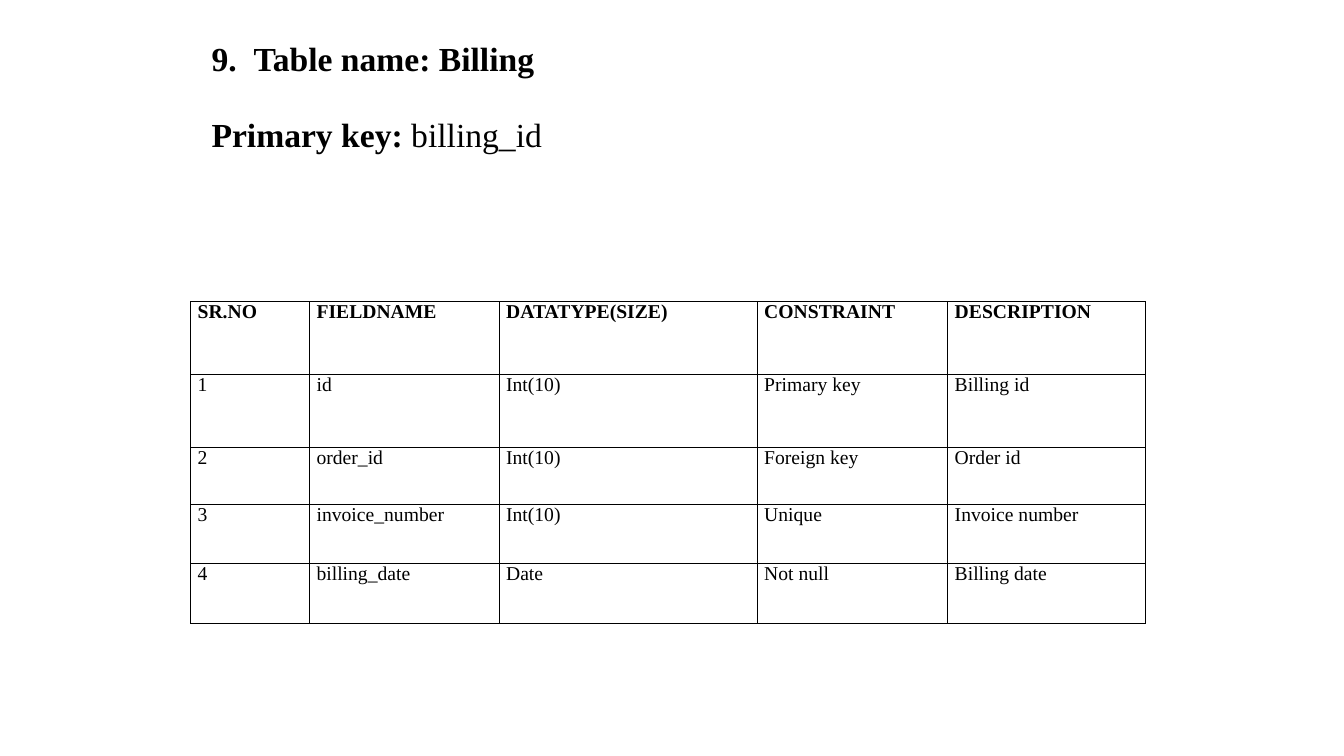
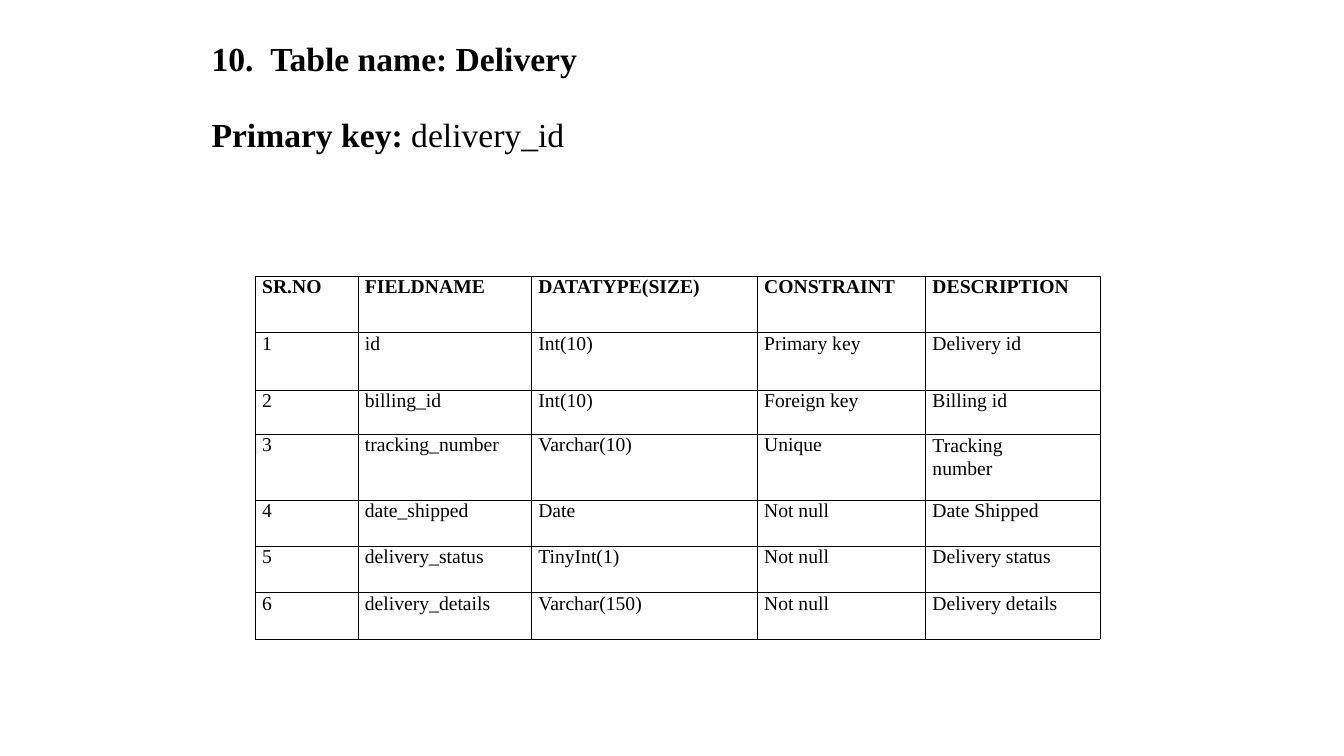
"""Build two data-dictionary slides, each with a heading and a field table."""
from dataclasses import dataclass

from lxml.etree import SubElement
from pptx import Presentation
from pptx.dml.color import RGBColor
from pptx.enum.text import MSO_ANCHOR
from pptx.oxml.ns import qn
from pptx.slide import Slide
from pptx.table import _Cell
from pptx.util import Inches, Pt

COLORS = {"ink": "000000"}
FONT = "Times New Roman"
HEADERS = ("SR.NO", "FIELDNAME", "DATATYPE(SIZE)", "CONSTRAINT", "DESCRIPTION")
BORDER = Pt(0.58)
INDENT = Inches(0.07)


@dataclass(frozen=True)
class Field:
    name: str
    datatype: str
    constraint: str
    description: str
    height: float
    wrap_margin: float = 0


@dataclass(frozen=True)
class Schema:
    number: int
    name: str
    key: str
    left: float
    top: float
    widths: tuple[float, ...]
    header_height: float
    fields: tuple[Field, ...]


SCHEMAS = (
    Schema(9, "Billing", "billing_id", 1.89, 2.99,
           (1.18, 1.88, 2.56, 1.89, 1.96), 0.72, (
               Field("id", "Int(10)", "Primary key", "Billing id", 0.73),
               Field("order_id", "Int(10)", "Foreign key", "Order id", 0.56),
               Field("invoice_number", "Int(10)", "Unique", "Invoice number", 0.59),
               Field("billing_date", "Date", "Not null", "Billing date", 0.59),
           )),
    Schema(10, "Delivery", "delivery_id", 2.53, 2.74,
           (1.02, 1.72, 2.24, 1.67, 1.73), 0.56, (
               Field("id", "Int(10)", "Primary key", "Delivery id", 0.57),
               Field("billing_id", "Int(10)", "Foreign key", "Billing id", 0.44),
               Field("tracking_number", "Varchar(10)", "Unique", "Tracking number",
                     0.65, wrap_margin=0.5),
               Field("date_shipped", "Date", "Not null", "Date Shipped", 0.46),
               Field("delivery_status", "TinyInt(1)", "Not null", "Delivery status", 0.46),
               Field("delivery_details", "Varchar(150)", "Not null", "Delivery details", 0.46),
           )),
)


def add_text(p, text: str, *, size: float = 14, bold: bool = False,
             spacing: float = 0) -> None:
    """Append a formatted run to a paragraph."""
    r = p.add_run()
    r.text = text
    r.font.name = FONT
    r.font.size = Pt(size)
    r.font.bold = bold
    r.font.color.rgb = RGBColor.from_string(COLORS["ink"])
    if spacing:
        r.font._element.set("spc", str(round(spacing * 100)))


def add_heading(s: Slide, schema: Schema) -> None:
    """Draw the table name and primary key lines."""
    tf = s.shapes.add_textbox(Inches(2), Inches(0.12), Inches(9.57), Inches(1.68)).text_frame
    tf.word_wrap = True
    tf.vertical_anchor = MSO_ANCHOR.MIDDLE
    name, key = tf.paragraphs[0], tf.add_paragraph()
    name.line_spacing = key.line_spacing = Pt(28)
    key.space_before = Pt(26.3)
    add_text(name, f"{schema.number}.", size=24, bold=True)
    add_text(name, " ", size=24, bold=True, spacing=6)
    add_text(name, f"Table name: {schema.name}", size=24, bold=True)
    add_text(key, "Primary key: ", size=24, bold=True)
    add_text(key, schema.key, size=24)


def fill_cell(cell: _Cell, text: str, *, bold: bool, wrap_margin: float = 0) -> None:
    """Write one bordered, unfilled cell."""
    cell.margin_left = INDENT
    cell.margin_right = Inches(wrap_margin)
    cell.margin_top = cell.margin_bottom = 0
    p = cell.text_frame.paragraphs[0]
    if wrap_margin:
        p.line_spacing = Pt(16.1)
    add_text(p, text, bold=bold)
    props = cell._tc.get_or_add_tcPr()
    for side in ("lnL", "lnR", "lnT", "lnB"):
        line = SubElement(props, qn(f"a:{side}"), w=str(BORDER))
        fill = SubElement(line, qn("a:solidFill"))
        SubElement(fill, qn("a:srgbClr"), val=COLORS["ink"])
    cell.fill.background()


def add_fields(s: Slide, schema: Schema) -> None:
    """Draw the table of fields."""
    heights = (schema.header_height, *(f.height for f in schema.fields))
    table = s.shapes.add_table(
        len(heights), len(HEADERS), Inches(schema.left), Inches(schema.top),
        Inches(sum(schema.widths)), Inches(sum(heights))).table
    table.first_row = table.horz_banding = False
    for column, width in zip(table.columns, schema.widths):
        column.width = Inches(width)
    for row, height in zip(table.rows, heights):
        row.height = Inches(height)
    for col, text in enumerate(HEADERS):
        fill_cell(table.cell(0, col), text, bold=True)
    for row, f in enumerate(schema.fields, 1):
        values = (str(row), f.name, f.datatype, f.constraint, f.description)
        for col, text in enumerate(values):
            margin = f.wrap_margin if text == f.description else 0
            fill_cell(table.cell(row, col), text, bold=False, wrap_margin=margin)


def main() -> None:
    """Build and save the presentation."""
    prs = Presentation()
    prs.slide_width, prs.slide_height = Inches(13.33), Inches(7.5)
    for schema in SCHEMAS:
        s = prs.slides.add_slide(prs.slide_layouts[6])
        add_heading(s, schema)
        add_fields(s, schema)
    prs.save("out.pptx")


if __name__ == "__main__":
    main()
